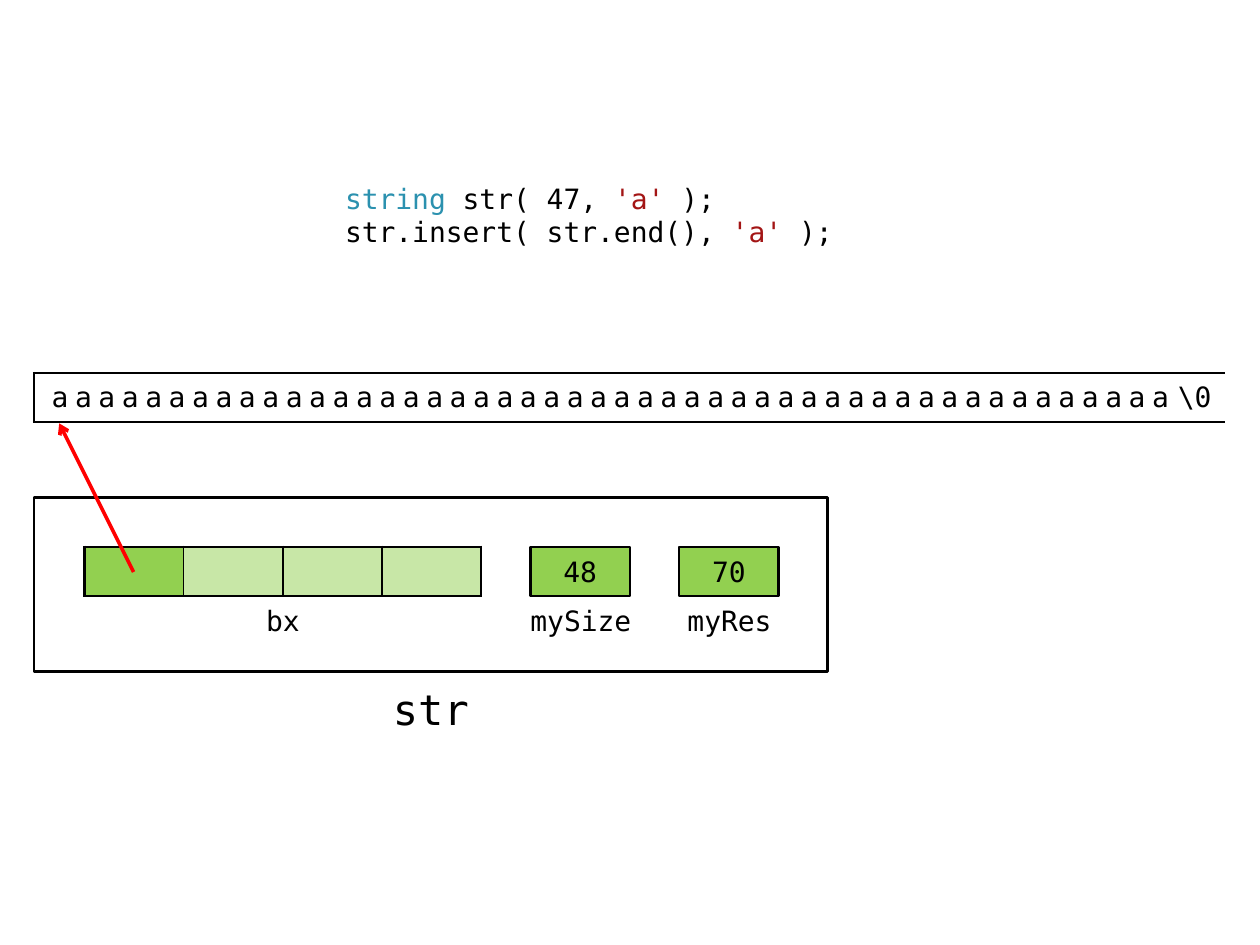
from dataclasses import dataclass

from lxml import etree
from pptx import Presentation
from pptx.dml.color import RGBColor
from pptx.enum.shapes import MSO_CONNECTOR, MSO_SHAPE as Shape
from pptx.enum.text import MSO_ANCHOR as Anchor, PP_ALIGN as Align
from pptx.oxml.ns import qn
from pptx.util import Inches, Pt


@dataclass(frozen=True)
class Theme:
    font: str = "DejaVu Sans Mono"
    black: str = "000000"
    white: str = "FFFFFF"
    green: str = "92D050"
    red: str = "FF0000"
    type_name: str = "2B91AF"
    literal: str = "A31515"
    body: int = 16
    title: int = 24
    thin: float = 1
    outline: float = 1.5
    pointer: float = 2


theme = Theme()


def write(frame, lines, size=theme.body, align=Align.CENTER, anchor=Anchor.MIDDLE):
    """Fill a frame with lines, each a list of (text, colour, letter spacing in points)."""
    frame.word_wrap = True
    frame.vertical_anchor = anchor
    for index, line in enumerate(lines):
        para = frame.paragraphs[0] if index == 0 else frame.add_paragraph()
        para.alignment = align
        for text, color, spacing in line:
            span = para.add_run()
            span.text = text
            span.font.name = theme.font
            span.font.size = Pt(size)
            span.font.color.rgb = RGBColor.from_string(color)
            if spacing:
                span.font._element.set("spc", str(round(spacing * 100)))


def style_cell(cell, color, alpha=100, **widths):
    """Set a cell's fill and its L, R, T and B borders; a width of 0 hides a border."""
    cell.margin_left = cell.margin_right = cell.margin_top = cell.margin_bottom = 0
    cell.fill.solid()
    cell.fill.fore_color.rgb = RGBColor.from_string(color)
    properties = cell._tc.get_or_add_tcPr()
    if alpha < 100:
        tint = properties.find(qn("a:solidFill"))[0]
        etree.SubElement(tint, qn("a:alpha"), val=str(alpha * 1000))
    for index, side in enumerate("LRTB"):
        border = etree.Element(qn(f"a:ln{side}"), w=str(Pt(widths[side])))
        if widths[side]:
            paint = etree.SubElement(border, qn("a:solidFill"))
            etree.SubElement(paint, qn("a:srgbClr"), val=theme.black)
        else:
            etree.SubElement(border, qn("a:noFill"))
        properties.insert(index, border)


deck = Presentation()
deck.slide_width, deck.slide_height = Inches(10), Inches(7.5)
page = deck.slides.add_slide(deck.slide_layouts[6])

# Code
box = page.shapes.add_textbox(Inches(2.64), Inches(1.39), Inches(4.73), Inches(0.79))
write(box.text_frame, [
    [("string ", theme.type_name, 0), ("str( 47, ", theme.black, 0),
     ("'a' ", theme.literal, 0), (");", theme.black, 0)],
    [("str.insert( str.end(), ", theme.black, 0),
     ("'a' ", theme.literal, 0), (");", theme.black, 0)],
], align=Align.LEFT, anchor=Anchor.TOP)

# Frame of the string object
frame_box = page.shapes.add_shape(
    Shape.FLOWCHART_PROCESS, Inches(0.27), Inches(3.95), Inches(6.3), Inches(1.38))
frame_box.shadow.inherit = False
frame_box.fill.solid()
frame_box.fill.fore_color.rgb = RGBColor.from_string(theme.white)
frame_box.line.color.rgb = RGBColor.from_string(theme.black)
frame_box.line.width = Pt(theme.outline)

# Captions
for text, left, top, width, height, size in (
    ("str", 2.83, 5.33, 1.18, 0.59, theme.title),
    ("bx", 1.85, 4.73, 0.79, 0.39, theme.body),
    ("mySize", 4.02, 4.73, 1.18, 0.39, theme.body),
    ("myRes", 5.2, 4.73, 1.18, 0.39, theme.body),
):
    caption = page.shapes.add_textbox(
        Inches(left), Inches(top), Inches(width), Inches(height))
    caption.text_frame.margin_left = caption.text_frame.margin_right = 0
    write(caption.text_frame, [[(text, theme.black, 0)]], size=size)

# Size and reserve values
for text, left in (("48", 4.21), ("70", 5.39)):
    value = page.shapes.add_shape(
        Shape.RECTANGLE, Inches(left), Inches(4.34), Inches(0.79), Inches(0.39))
    value.shadow.inherit = False
    value.fill.solid()
    value.fill.fore_color.rgb = RGBColor.from_string(theme.green)
    value.line.color.rgb = RGBColor.from_string(theme.black)
    value.line.width = Pt(theme.outline)
    write(value.text_frame, [[(text, theme.black, 0)]])

# Union bx: the first cell is in use, the others are faded
union = page.shapes.add_table(
    1, 4, Inches(0.67), Inches(4.34), Inches(3.15), Inches(0.39)).table
union.first_row = union.horz_banding = False
for column in range(4):
    style_cell(
        union.cell(0, column), theme.green, alpha=100 if column == 0 else 50,
        L=theme.outline if column == 0 else theme.thin,
        R=theme.outline if column == 3 else theme.thin,
        T=theme.outline, B=theme.outline)

# Pointer from bx to the buffer
pointer = page.shapes.add_connector(
    MSO_CONNECTOR.STRAIGHT, Inches(1.06), Inches(4.54), Inches(0.47), Inches(3.36))
pointer.line.color.rgb = RGBColor.from_string(theme.red)
pointer.line.width = Pt(theme.pointer)
etree.SubElement(pointer.line._get_or_add_ln(), qn("a:tailEnd"), type="arrow")
etree.SubElement(pointer._element.spPr, qn("a:effectLst"))

# Character buffer, open on the right
buffer = page.shapes.add_table(
    1, 1, Inches(0.27), Inches(2.96), Inches(9.45), Inches(0.39)).table
buffer.first_row = buffer.horz_banding = False
cell = buffer.cell(0, 0)
style_cell(cell, theme.white, L=theme.outline, R=0, T=theme.outline, B=theme.outline)
cell.margin_left = Inches(0.14)
write(cell.text_frame, [[
    ("a" * 48, theme.black, 3.8), ("\\", theme.black, -1.5), ("0", theme.black, 0),
]], align=Align.LEFT)
cell.vertical_anchor = Anchor.MIDDLE

deck.save("out.pptx")
